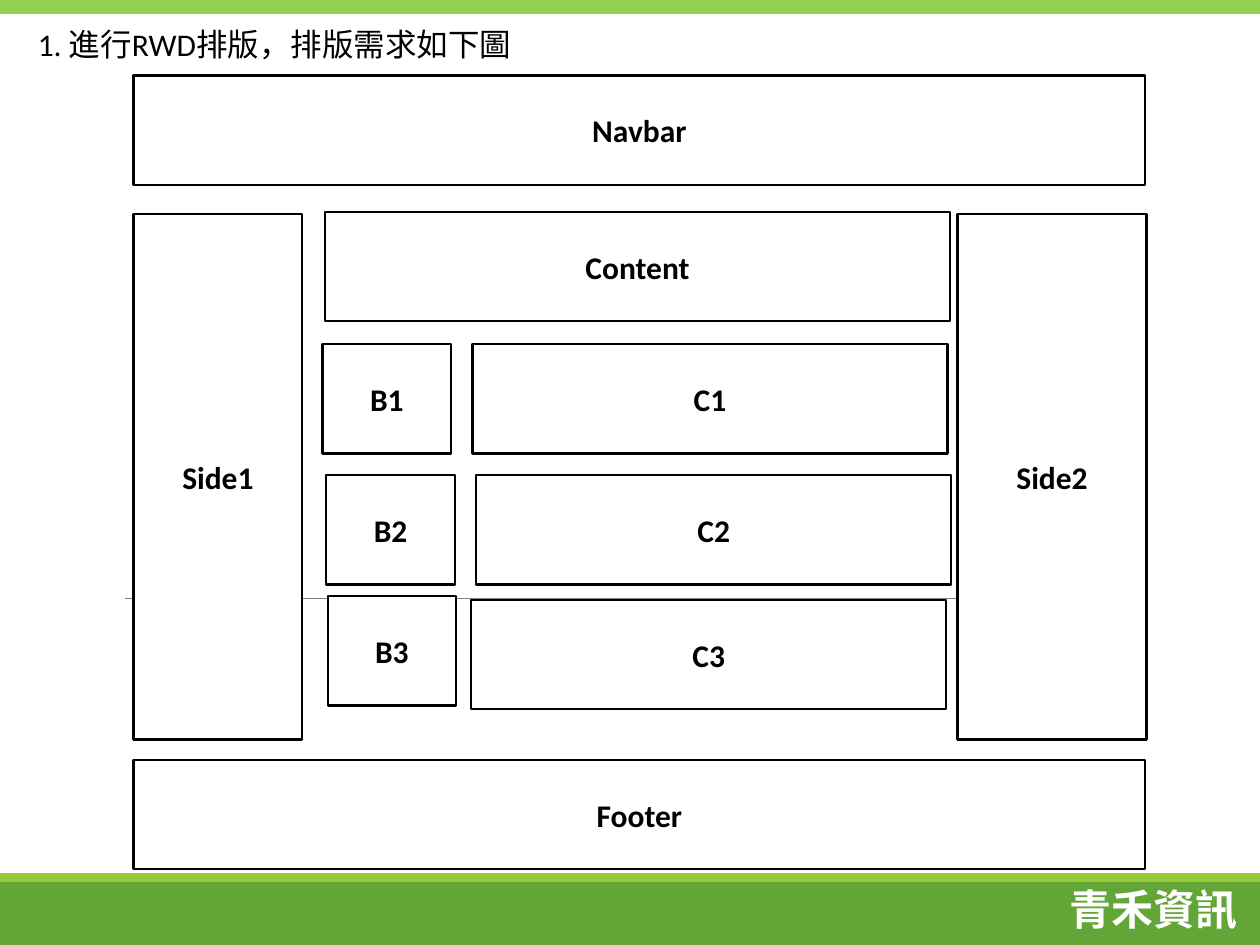
import dataclasses
import typing

import pptx
import pptx.dml.color
import pptx.enum.shapes
import pptx.enum.text
import pptx.oxml.ns
import pptx.util

Inches = pptx.util.Inches
Pt = pptx.util.Pt
Anchor = pptx.enum.text.MSO_ANCHOR
Align = pptx.enum.text.PP_ALIGN

HUES = {
    "white": "FFFFFF",
    "black": "000000",
    "gray": "808080",
    "green": "63A537",
    "lime": "99CB38",
    "top": "92D050",
}
HIGH = 0.87
WIDE = 8.03
EDGE = 1.06


@dataclasses.dataclass
class Box:
    left: float
    top: float
    width: float
    height: float
    text: str = ""
    fill: str = "white"
    line: typing.Optional[str] = "black"


def hue(name: str) -> pptx.dml.color.RGBColor:
    return pptx.dml.color.RGBColor.from_string(HUES[name])


def apply(item: typing.Any, form: dict) -> None:
    for key, value in form.items():
        setattr(item, key, value)


def place(box: Box) -> tuple:
    return tuple(map(Inches, (box.left, box.top, box.width, box.height)))


def write(frame: typing.Any, text: str, font: dict, tint: str,
          para: dict, anchor: Anchor) -> None:
    apply(frame, {"word_wrap": True, "vertical_anchor": anchor})
    line = frame.paragraphs[0]
    apply(line, para)
    run = line.add_run()
    run.text = text
    apply(run.font, font)
    run.font.color.rgb = hue(tint)


def draw(slide: typing.Any, box: Box) -> None:
    shape = slide.shapes.add_shape(
        pptx.enum.shapes.MSO_SHAPE.RECTANGLE, *place(box))
    shape.shadow.inherit = False
    shape.fill.solid()
    shape.fill.fore_color.rgb = hue(box.fill)
    if box.line:
        shape.line.color.rgb = hue(box.line)
        shape.line.width = Pt(1.25)
    else:
        shape.line.fill.background()
    if box.text:
        write(shape.text_frame, box.text,
              {"name": "Calibri", "size": Pt(18), "bold": True}, "black",
              {"alignment": Align.CENTER}, Anchor.MIDDLE)


def rule(slide: typing.Any, left: float, right: float, top: float) -> None:
    line = slide.shapes.add_connector(
        pptx.enum.shapes.MSO_CONNECTOR.STRAIGHT,
        Inches(left), Inches(top), Inches(right), Inches(top))
    line.line.color.rgb = hue("gray")
    line.line.width = Pt(0.5)
    props = line._element.spPr
    props.append(props.makeelement(pptx.oxml.ns.qn("a:effectLst"), {}))


def main() -> None:
    deck = pptx.Presentation()
    apply(deck, {"slide_width": Inches(10), "slide_height": Inches(7.5)})
    slide = deck.slides.add_slide(deck.slide_layouts[5])

    bands = [
        Box(0, 7, 10, 0.5, fill="green", line=None),
        Box(0, 6.93, 10, 0.07, fill="lime", line=None),
        Box(0, -0.03, 10, 0.13, fill="top", line="top"),
    ]
    for band in bands:
        draw(slide, band)
    rule(slide, 0.99, 9.09, 4.75)

    brand = slide.shapes.add_textbox(*place(Box(8.39, 6.96, 1.74, 0.5)))
    write(brand.text_frame, "青禾資訊",
          {"name": "Arial", "size": Pt(24), "bold": True}, "white",
          {"alignment": Align.LEFT}, Anchor.TOP)

    parts = [
        Box(EDGE, 0.6, WIDE, HIGH, "Navbar"),
        Box(EDGE, 6.03, WIDE, HIGH, "Footer"),
        Box(EDGE, 1.7, 1.34, 4.17, "Side1"),
        Box(7.6, 1.7, 1.5, 4.17, "Side2"),
        Box(2.58, 1.68, 4.96, HIGH, "Content"),
    ]
    rows = [(2.56, 2.73, 3.75, 2.73),
            (2.59, 3.77, 3.78, 3.77),
            (2.6, 4.73, 3.74, 4.76)]
    for num, (bx, by, cx, cy) in enumerate(rows, 1):
        parts += [Box(bx, by, 1.02, HIGH, f"B{num}"),
                  Box(cx, cy, 3.77, HIGH, f"C{num}")]
    for part in parts:
        draw(slide, part)

    title = slide.shapes.title
    spot = place(Box(0.2, 0.15, 9.29, 0.94))
    apply(title, dict(zip(("left", "top", "width", "height"), spot)))
    write(title.text_frame, "1. 進行RWD排版，排版需求如下圖",
          {"name": "Calibri", "size": Pt(18)}, "black",
          {"alignment": Align.LEFT, "space_before": Pt(3.6)}, Anchor.TOP)

    deck.save("out.pptx")


if __name__ == "__main__":
    main()
